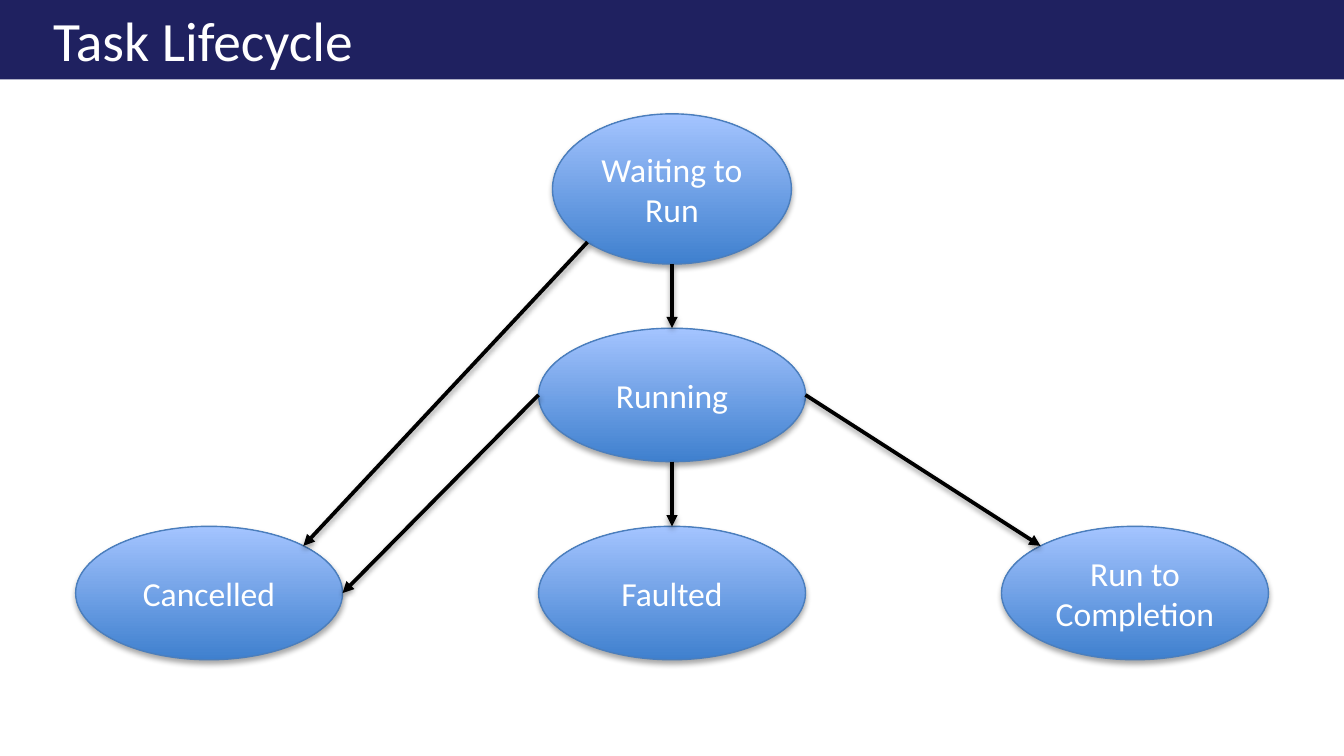
from math import cos, radians, sin
from typing import NamedTuple

from lxml import etree
from pptx import Presentation
from pptx import util as u
from pptx.dml.color import RGBColor
from pptx.enum import shapes, text
from pptx.oxml import ns

CENTER_X, COLUMN_STEP = 360, 248
OUTCOME_Y = 317.75
TOP, TOP_LEFT, LEFT, BOTTOM_LEFT, BOTTOM, BOTTOM_RIGHT, RIGHT, TOP_RIGHT = range(8)


class State(NamedTuple):
    label: str
    cx: float
    cy: float
    width: float = 143
    height: float = 71.5


class Transition(NamedTuple):
    source: str
    source_site: int
    target: str
    target_site: int


STATES = [
    State("Waiting to Run", CENTER_X, 101.25, 128, 80.5),
    State("Run to Completion", CENTER_X + COLUMN_STEP, OUTCOME_Y),
    State("Running", CENTER_X, 211.6),
    State("Cancelled", CENTER_X - COLUMN_STEP, OUTCOME_Y),
    State("Faulted", CENTER_X, OUTCOME_Y),
]
TRANSITIONS = [
    Transition("Waiting to Run", BOTTOM_LEFT, "Cancelled", TOP_RIGHT),
    Transition("Waiting to Run", BOTTOM, "Running", TOP),
    Transition("Running", LEFT, "Cancelled", RIGHT),
    Transition("Running", BOTTOM, "Faulted", TOP),
    Transition("Running", RIGHT, "Run to Completion", TOP_LEFT),
]


def rgb(color: str) -> RGBColor:
    return RGBColor.from_string(color)


def add_xml(parent, tag: str, **attributes):
    return etree.SubElement(parent, ns.qn(tag), {k: str(v) for k, v in attributes.items()})


def add_shadow(sp, opacity: int, distance: float) -> None:
    """Append a soft downward shadow; call after fill and line are set."""
    effects = add_xml(sp._element.spPr, "a:effectLst")
    shadow = add_xml(effects, "a:outerShdw", blurRad=u.Pt(3.1), dist=u.Pt(distance),
                     dir=90 * 60000, rotWithShape=0)
    color = add_xml(shadow, "a:srgbClr", val="000000")
    add_xml(color, "a:alpha", val=opacity * 1000)


def write(sp, label: str, size: float, align: text.PP_ALIGN) -> None:
    tf = sp.text_frame
    tf.word_wrap = True
    tf.vertical_anchor = text.MSO_ANCHOR.MIDDLE
    p = tf.paragraphs[0]
    p.alignment = align
    r = p.add_run()
    r.text = label
    r.font.name = "Calibri"
    r.font.size = u.Pt(size)
    r.font.color.rgb = rgb("FFFFFF")


def add_title(s, label: str) -> None:
    sp = s.shapes.add_shape(shapes.MSO_SHAPE.RECTANGLE, 0, 0, u.Pt(720), u.Pt(42.5))
    sp.shadow.inherit = False
    sp.fill.solid()
    sp.fill.fore_color.rgb = rgb("1F2160")
    sp.line.fill.background()
    write(sp, label, 29.7, text.PP_ALIGN.LEFT)
    sp.text_frame.margin_left = u.Pt(28.5)


def add_state(s, state: State):
    sp = s.shapes.add_shape(
        shapes.MSO_SHAPE.OVAL,
        u.Pt(state.cx - state.width / 2), u.Pt(state.cy - state.height / 2),
        u.Pt(state.width), u.Pt(state.height))
    sp.fill.gradient()
    sp.fill.gradient_angle = 90
    for stop, color in zip(sp.fill.gradient_stops, ("3F80CE", "A4C4FF")):
        stop.color.rgb = rgb(color)
    sp.line.color.rgb = rgb("4B7EBC")
    sp.line.width = u.Pt(0.75)
    add_shadow(sp, 35, 1.8)
    write(sp, state.label, 18, text.PP_ALIGN.CENTER)
    return sp


def site_point(state: State, site: int) -> tuple[u.Pt, u.Pt]:
    """Locate an oval's connection site, numbered counterclockwise from the top."""
    angle = radians(45 * site)
    return (u.Pt(state.cx - state.width / 2 * sin(angle)),
            u.Pt(state.cy - state.height / 2 * cos(angle)))


def add_transition(s, t: Transition, states: dict, ovals: dict) -> None:
    start = site_point(states[t.source], t.source_site)
    end = site_point(states[t.target], t.target_site)
    arrow = s.shapes.add_connector(shapes.MSO_CONNECTOR.STRAIGHT, *start, *end)
    glue = arrow._element.nvCxnSpPr.cNvCxnSpPr
    add_xml(glue, "a:stCxn", id=ovals[t.source].shape_id, idx=t.source_site)
    add_xml(glue, "a:endCxn", id=ovals[t.target].shape_id, idx=t.target_site)
    arrow.line.color.rgb = rgb("000000")
    arrow.line.width = u.Pt(2)
    add_xml(arrow.line._get_or_add_ln(), "a:tailEnd", type="triangle")
    add_shadow(arrow, 38, 1.6)


def main() -> None:
    prs = Presentation()
    prs.slide_width, prs.slide_height = u.Pt(720), u.Pt(405)
    s = prs.slides.add_slide(prs.slide_layouts[6])
    add_title(s, "Task Lifecycle")
    states = {state.label: state for state in STATES}
    ovals = {label: add_state(s, state) for label, state in states.items()}
    for transition in TRANSITIONS:
        add_transition(s, transition, states, ovals)
    prs.save("out.pptx")


if __name__ == "__main__":
    main()
